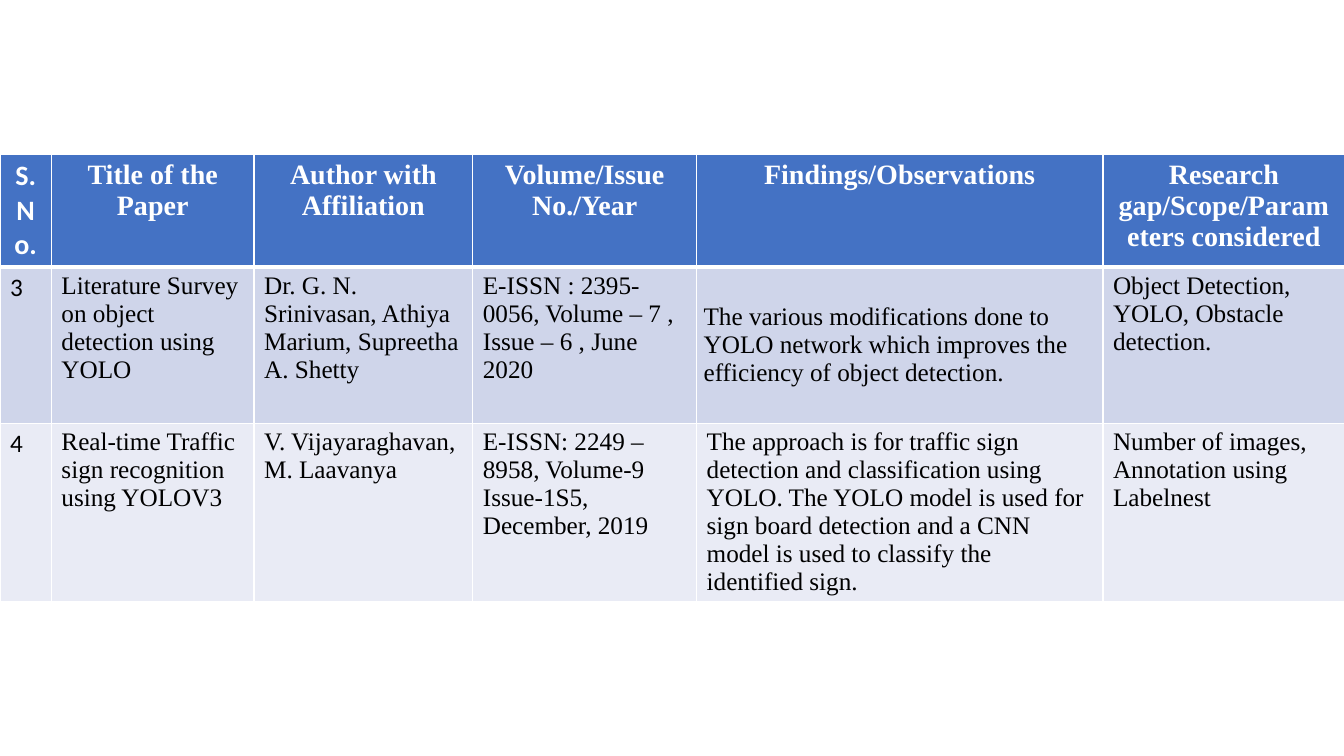
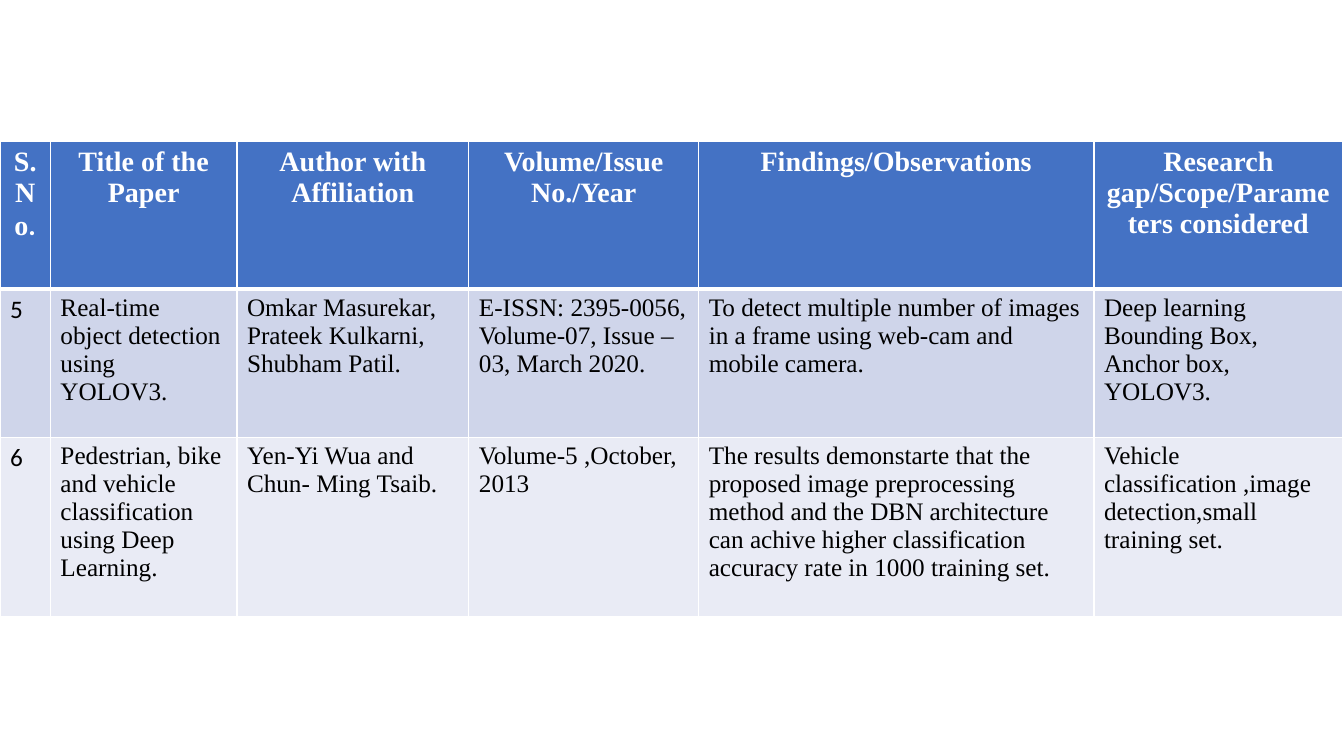
from dataclasses import dataclass

from lxml.etree import SubElement
from pptx import Presentation
from pptx.dml.color import RGBColor
from pptx.enum.text import MSO_ANCHOR, PP_ALIGN
from pptx.oxml.ns import qn
from pptx.util import Inches, Pt


@dataclass(frozen=True)
class Theme:
    """Colours, fonts and sizes shared by the slides."""
    header_fill: str = "4472C4"
    band_fills: tuple = ("CFD5EA", "E9EBF5")
    header_text: str = "FFFFFF"
    body_text: str = "000000"
    border: str = "FFFFFF"
    serif: str = "Times New Roman"
    sans: str = "Calibri"
    header_size: int = 20
    body_size: int = 18
    thin: int = 1
    thick: int = 3


THEME = Theme()
HEADINGS = (
    "Title of the Paper",
    "Author with Affiliation",
    "Volume/Issue No./Year",
    "Findings/Observations",
    "Research gap/Scope/Parameters considered",
)
FINDINGS_COLUMN = 4


def add_span(para, text, *, font=THEME.serif, size=THEME.body_size,
             color=THEME.body_text, bold=False):
    """Append formatted text to a paragraph."""
    span = para.add_run()
    span.text = text
    span.font.name = font
    span.font.size = Pt(size)
    span.font.bold = bold
    span.font.color.rgb = RGBColor.from_string(color)


class SurveyDeck:
    """Builds literature survey slides in one style."""

    def __init__(self, theme):
        self.theme = theme
        self.deck = Presentation()
        self.deck.slide_width = Inches(13.33)
        self.deck.slide_height = Inches(7.5)
        self.page = None

    def add_page(self):
        """Start a blank slide."""
        self.page = self.deck.slides.add_slide(self.deck.slide_layouts[6])

    def style_cell(self, cell, fill, top, bottom):
        """Set the borders and fill of a cell."""
        properties = cell._tc.get_or_add_tcPr()
        thin = self.theme.thin
        for side, width in (("L", thin), ("R", thin), ("T", top), ("B", bottom)):
            line = SubElement(properties, qn(f"a:ln{side}"), w=str(Pt(width)))
            solid = SubElement(line, qn("a:solidFill"))
            SubElement(solid, qn("a:srgbClr"), val=self.theme.border)
        cell.fill.solid()
        cell.fill.fore_color.rgb = RGBColor.from_string(fill)

    def add_header(self, table, serial_spans):
        """Fill the heading row."""
        theme = self.theme
        headings = [serial_spans] + [((text, theme.serif),) for text in HEADINGS]
        for cell, spans in zip(table.rows[0].cells, headings):
            self.style_cell(cell, theme.header_fill, theme.thin, theme.thick)
            para = cell.text_frame.paragraphs[0]
            para.alignment = PP_ALIGN.CENTER
            for text, font in spans:
                add_span(para, text, font=font, size=theme.header_size,
                         color=theme.header_text, bold=True)

    def add_paper(self, table, row, values):
        """Fill one row with a paper."""
        theme = self.theme
        fill = theme.band_fills[(row - 1) % len(theme.band_fills)]
        top = theme.thick if row == 1 else theme.thin
        for column, text in enumerate(values):
            cell = table.cell(row, column)
            self.style_cell(cell, fill, top, theme.thin)
            add_span(cell.text_frame.paragraphs[0], text,
                     font=theme.serif if column else theme.sans)

    def add_survey(self, top, widths, heights, serial_spans, papers):
        """Add a full-width survey table and return it."""
        frame = self.page.shapes.add_table(
            len(heights), len(widths), 0, Inches(top),
            Inches(sum(widths)), Inches(sum(heights)))
        table = frame.table
        for column, width in zip(table.columns, widths):
            column.width = Inches(width)
        for row, height in zip(table.rows, heights):
            row.height = Inches(height)
        self.add_header(table, serial_spans)
        for row, values in enumerate(papers, start=1):
            self.add_paper(table, row, values)
        return table

    def center_cell(self, cell):
        """Centre a cell vertically with tight margins."""
        cell.vertical_anchor = MSO_ANCHOR.MIDDLE
        cell.margin_left = cell.margin_right = Inches(0.07)
        cell.margin_top = cell.margin_bottom = 0
        cell.text_frame.paragraphs[0].space_after = Pt(8)

    def save(self):
        """Save the deck."""
        self.deck.save("out.pptx")


def main():
    """Build both survey slides."""
    survey = SurveyDeck(THEME)

    survey.add_page()
    table = survey.add_survey(
        top=1.53,
        widths=(0.51, 2.01, 2.17, 2.22, 4.03, 2.4),
        heights=(1.11, 1.55, 1.77),
        serial_spans=(("S.No.", THEME.sans),),
        papers=(
            ("3", "Literature Survey on object detection using YOLO",
             "Dr. G. N. Srinivasan, Athiya Marium, Supreetha A. Shetty",
             "E-ISSN : 2395-0056, Volume – 7 , Issue – 6 , June 2020",
             "The various modifications done to YOLO network which improves "
             "the efficiency of object detection.",
             "Object Detection, YOLO, Obstacle detection."),
            ("4", "Real-time Traffic sign recognition using YOLOV3",
             "V. Vijayaraghavan, M. Laavanya",
             "E-ISSN: 2249 – 8958, Volume-9 Issue-1S5, December, 2019",
             "The approach is for traffic sign detection and classification "
             "using YOLO. The YOLO model is used for sign board detection and "
             "a CNN model is used to classify the identified sign.",
             "Number of images, Annotation using Labelnest"),
        ))
    survey.center_cell(table.cell(1, FINDINGS_COLUMN))

    survey.add_page()
    survey.add_survey(
        top=1.4,
        widths=(0.5, 1.85, 2.3, 2.28, 3.92, 2.47),
        heights=(1.47, 1.47, 1.78),
        serial_spans=(("S.No", THEME.serif), (".", THEME.sans)),
        papers=(
            ("5", "Real-time object detection using YOLOV3.",
             "Omkar Masurekar, Prateek Kulkarni, Shubham Patil.",
             "E-ISSN: 2395-0056, Volume-07, Issue – 03, March 2020.",
             "To detect multiple number of images in a frame using web-cam "
             "and mobile camera.",
             "Deep learning Bounding Box, Anchor box, YOLOV3."),
            ("6", "Pedestrian, bike and vehicle classification using Deep "
             "Learning.",
             "Yen-Yi Wua and Chun- Ming Tsaib.",
             "Volume-5 ,October,2013",
             "The results demonstarte that the proposed image preprocessing "
             "method and the DBN architecture can achive higher "
             "classification accuracy rate in 1000 training set.",
             "Vehicle classification ,image detection,small training set."),
        ))

    survey.save()


if __name__ == "__main__":
    main()
